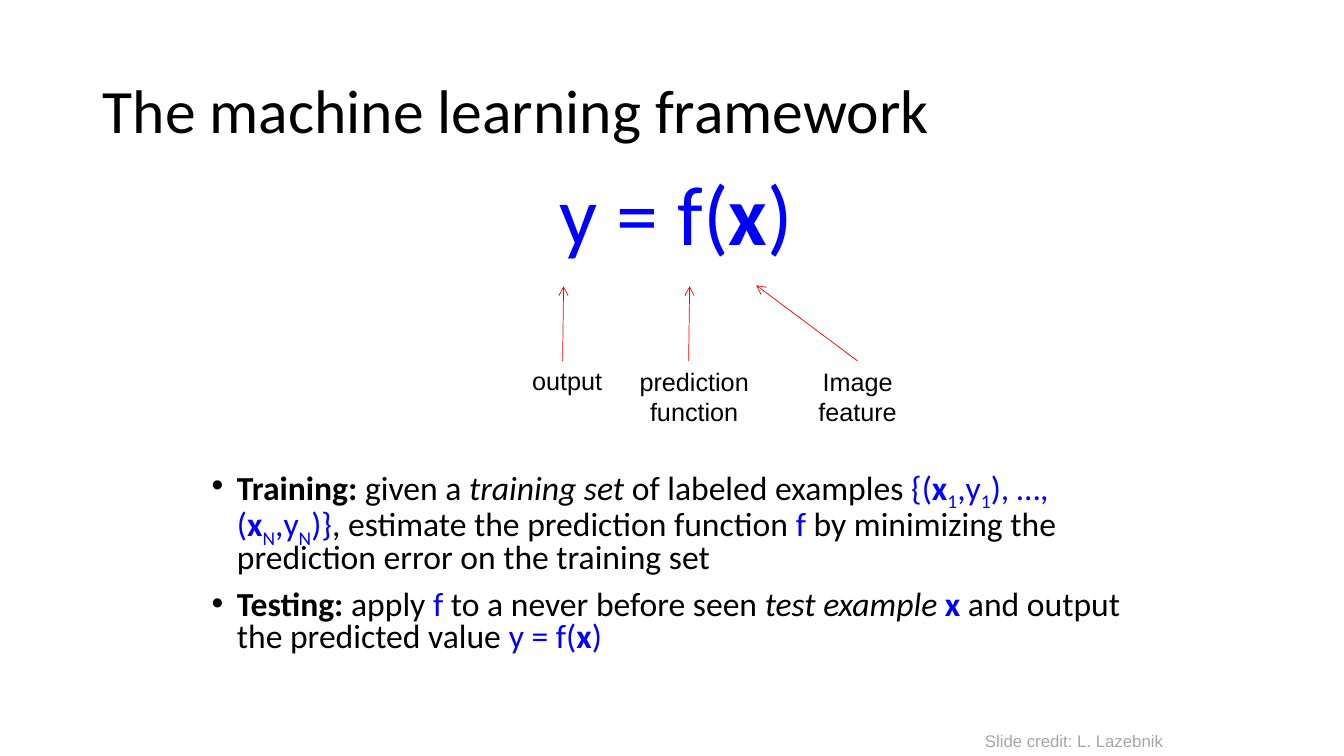
from dataclasses import dataclass

from lxml import etree
from pptx import Presentation
from pptx.dml.color import RGBColor
from pptx.enum.shapes import MSO_CONNECTOR
from pptx.enum.text import MSO_ANCHOR, MSO_AUTO_SIZE, PP_ALIGN
from pptx.oxml.ns import qn
from pptx.util import Inches, Pt

STRAIGHT = MSO_CONNECTOR.STRAIGHT
MIDDLE = MSO_ANCHOR.MIDDLE
NO_AUTOFIT = MSO_AUTO_SIZE.NONE
GROW = MSO_AUTO_SIZE.SHAPE_TO_FIT_TEXT
LEFT, CENTER = PP_ALIGN.LEFT, PP_ALIGN.CENTER

BLACK = RGBColor(0x00, 0x00, 0x00)
BLUE = RGBColor(0x00, 0x00, 0xFF)
RED = RGBColor(0xFF, 0x00, 0x00)
GRAY = RGBColor(0xA6, 0xA6, 0xA6)

TOP_SIDE = 0
LABEL_TOP = 3.58


@dataclass(frozen=True)
class Piece:
    text: str
    color: RGBColor = BLACK
    bold: bool = False
    italic: bool = False
    subscript: bool = False


@dataclass(frozen=True)
class Label:
    text: str
    left: float
    top: float
    width: float
    height: float
    size: int = 18
    color: RGBColor = BLACK
    align: PP_ALIGN = CENTER
    wrap: bool = True


@dataclass(frozen=True)
class Arrow:
    start: tuple[float, float]
    end: tuple[float, float]


def math(text: str) -> Piece:
    return Piece(text, BLUE)


def subscript(text: str) -> Piece:
    return Piece(text, BLUE, subscript=True)


VECTOR = Piece("x", BLUE, bold=True)
EQUATION = [math("y = f("), VECTOR, math(")")]
TRAINING = [
    Piece("Training: ", bold=True), Piece("given a "),
    Piece("training set ", italic=True), Piece("of labeled examples "),
    math("{("), VECTOR, subscript("1"), math(",y"), subscript("1"),
    math("), …, ("), VECTOR, subscript("N"), math(",y"), subscript("N"),
    math(")}"), Piece(", estimate the prediction function "), math("f "),
    Piece("by minimizing the prediction error on the training set"),
]
TESTING = [
    Piece("Testing:", bold=True), Piece(" apply "), math("f"),
    Piece(" to a never before seen "), Piece("test example ", italic=True),
    VECTOR, Piece(" and output the predicted value "), *EQUATION,
]

OUTPUT = Label("output", 5.18, LABEL_TOP, 0.9, 0.4, align=LEFT, wrap=False)
FUNCTION = Label("prediction function", 5.85, LABEL_TOP, 2.07, 0.71)
FEATURE = Label("Image feature", 7.68, LABEL_TOP, 1.65, 0.71)
CREDIT = Label("Slide credit: L. Lazebnik", 9.67, 7.2, 1.98, 0.3,
               size=12, color=GRAY, align=LEFT, wrap=False)

OUTPUT_ARROW = Arrow((5.58, LABEL_TOP), (5.59, 2.84))
FUNCTION_ARROW = Arrow((6.83, LABEL_TOP), (6.84, 2.84))
FEATURE_ARROW = Arrow((8.5, LABEL_TOP), (7.5, 2.83))


def place(shape, left: float, top: float, width: float, height: float) -> None:
    shape.left, shape.top = Inches(left), Inches(top)
    shape.width, shape.height = Inches(width), Inches(height)


def add_piece(paragraph, piece: Piece, size: int, font_name: str = "Calibri") -> None:
    run = paragraph.add_run()
    run.text = piece.text
    font = run.font
    font.name, font.size = font_name, Pt(size)
    font.bold, font.italic = piece.bold, piece.italic
    font.color.rgb = piece.color
    if piece.subscript:
        run._r.get_or_add_rPr().set("baseline", "-25000")


def set_bullet(paragraph, character: str | None) -> None:
    """Give the paragraph a hanging indent and a bullet, or no bullet."""
    properties = paragraph._p.get_or_add_pPr()
    properties.set("marL", str(Inches(0.25)))
    properties.set("indent", str(-Inches(0.25)))
    if character is None:
        etree.SubElement(properties, qn("a:buNone"))
        return
    etree.SubElement(properties, qn("a:buFont")).set("typeface", "Arial")
    etree.SubElement(properties, qn("a:buChar")).set("char", character)


def fill_title(title) -> None:
    place(title, 0.92, 0.4, 11.5, 1.45)
    frame = title.text_frame
    frame.auto_size, frame.vertical_anchor = NO_AUTOFIT, MIDDLE
    paragraph = frame.paragraphs[0]
    paragraph.alignment, paragraph.line_spacing = LEFT, 0.9
    add_piece(paragraph, Piece("The machine learning framework"), 44)


def fill_body(body) -> None:
    place(body, 2, 1.75, 9.42, 4.95)
    frame = body.text_frame
    frame.auto_size = NO_AUTOFIT
    rows = [
        (EQUATION, 60, CENTER, 10, None),
        (TRAINING, 24, LEFT, 149, "•"),
        (TESTING, 24, LEFT, 10, "•"),
    ]
    for index, (pieces, size, align, space_before, bullet) in enumerate(rows):
        paragraph = frame.add_paragraph() if index else frame.paragraphs[0]
        paragraph.alignment, paragraph.line_spacing = align, 0.8
        paragraph.space_before = Pt(space_before)
        set_bullet(paragraph, bullet)
        for piece in pieces:
            add_piece(paragraph, piece, size)


def add_label(slide, label: Label):
    box = slide.shapes.add_textbox(Inches(label.left), Inches(label.top),
                                   Inches(label.width), Inches(label.height))
    frame = box.text_frame
    frame.word_wrap, frame.auto_size = label.wrap, GROW
    paragraph = frame.paragraphs[0]
    paragraph.alignment = label.align
    add_piece(paragraph, Piece(label.text, label.color), label.size, "Arial")
    return box


def add_arrow(slide, arrow: Arrow):
    points = [Inches(value) for value in (*arrow.start, *arrow.end)]
    connector = slide.shapes.add_connector(STRAIGHT, *points)
    connector.line.color.rgb = RED
    connector.line.width = Pt(0.5)
    line = connector.line._get_or_add_ln()
    etree.SubElement(line, qn("a:tailEnd")).set("type", "arrow")
    etree.SubElement(connector._element.spPr, qn("a:effectLst"))
    return connector


def main() -> None:
    presentation = Presentation()
    presentation.slide_width = Inches(13.33)
    presentation.slide_height = Inches(7.5)
    slide = presentation.slides.add_slide(presentation.slide_layouts[1])
    fill_title(slide.shapes.title)
    fill_body(slide.placeholders[1])

    add_arrow(slide, OUTPUT_ARROW)
    add_arrow(slide, FUNCTION_ARROW)
    feature_arrow = add_arrow(slide, FEATURE_ARROW)
    add_label(slide, OUTPUT)
    add_label(slide, FUNCTION)
    feature_box = add_label(slide, FEATURE)
    feature_arrow.begin_connect(feature_box, TOP_SIDE)
    add_label(slide, CREDIT)
    presentation.save("out.pptx")


if __name__ == "__main__":
    main()
